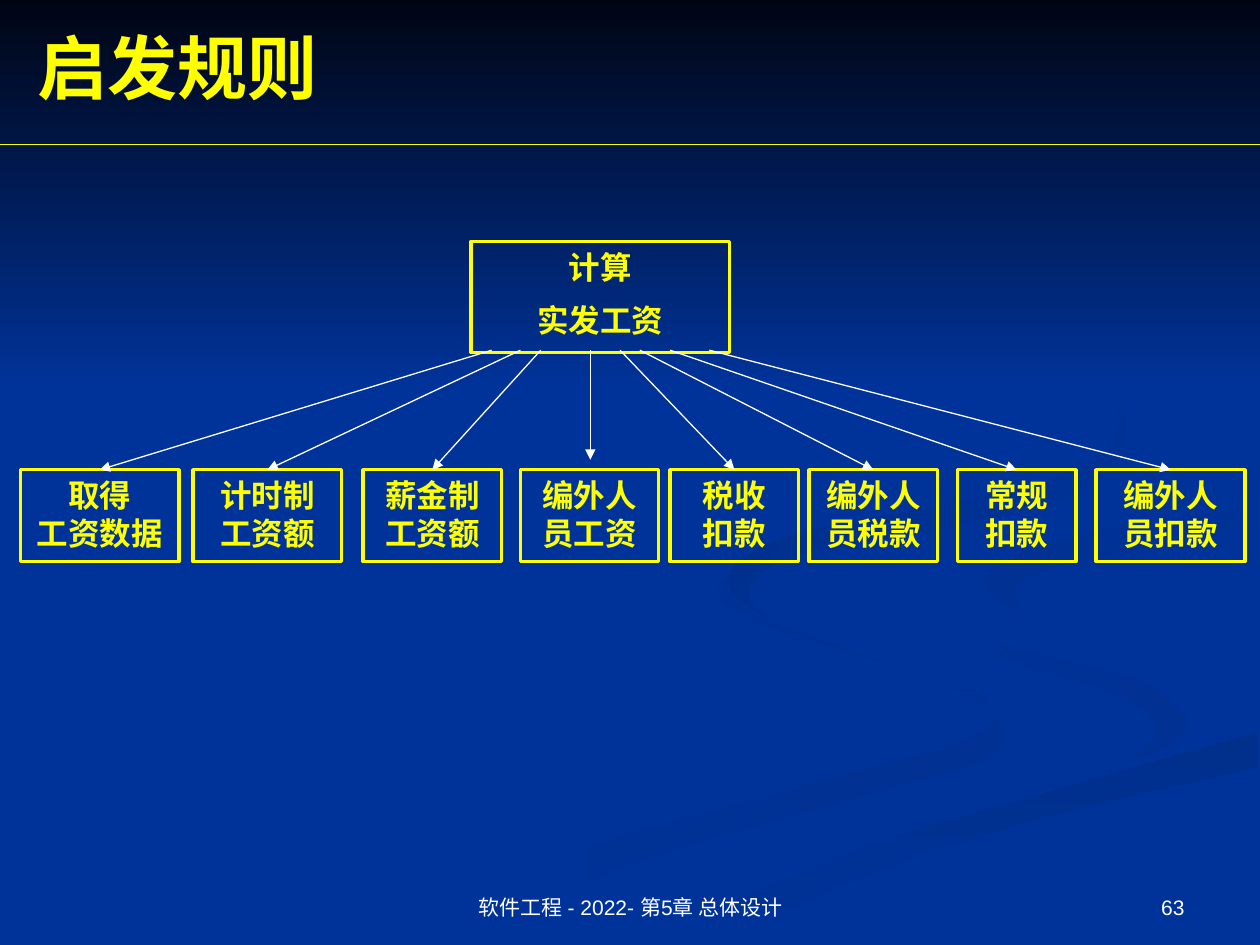
from lxml.etree import SubElement
from pptx import Presentation
from pptx.dml.color import RGBColor
from pptx.enum.shapes import MSO_CONNECTOR, MSO_SHAPE
from pptx.enum.text import MSO_ANCHOR, PP_ALIGN
from pptx.oxml.ns import qn
from pptx.util import Cm, Pt

BLUE = RGBColor(0x00, 0x33, 0x99)
DIM = RGBColor(0x00, 0x31, 0x93)
DARK = RGBColor(0x00, 0x2F, 0x8C)
NIGHT = RGBColor(0x00, 0x05, 0x14)
GOLD = RGBColor(0xFF, 0xFF, 0x00)
WHITE = RGBColor(0xFF, 0xFF, 0xFF)

TITLE = "启发规则"
ROOT = ["计算", "实发工资"]
FOOT = "软件工程 - 2022- 第5章 总体设计"
PAGE = "63"

# left, width, line start, text
PARTS = [
    (0.41, 3.2, 9.91, ["取得", "工资数据"]),
    (3.89, 3, 10.49, ["计时制", "工资额"]),
    (7.32, 2.79, 10.9, ["薪金制", "工资额"]),
    (10.49, 2.79, 11.9, ["编外人", "员工资"]),
    (13.51, 2.59, 12.5, ["税收", "扣款"]),
    (16.31, 2.59, 12.9, ["编外人", "员税款"]),
    (19.3, 2.39, 13.51, ["常规", "扣款"]),
    (22.1, 3, 14.3, ["编外人", "员扣款"]),
]

# first colour, last colour, angle, two edges
UNIT = Cm(0.0254)
RIBBONS = [
    (BLUE, DIM, 0,
     [(781, 553), (682, 519), (594, 485), (575, 459), (572, 476), (611, 499),
      (714, 530), (785, 562), (767, 587), (652, 620), (458, 674), (300, 749)],
     [(361, 749), (499, 687), (676, 634), (791, 597), (781, 553)]),
    (BLUE, DIM, 45,
     [(943, 570), (905, 540), (811, 515), (733, 483), (724, 464), (733, 488),
      (797, 524), (892, 553), (918, 581), (894, 605)],
     [(894, 605), (932, 589), (943, 570)]),
    (DARK, BLUE, 90,
     [(503, 749), (696, 669), (831, 629), (998, 581)],
     [(998, 609), (821, 651), (695, 692), (571, 749)]),
    (DIM, BLUE, 45,
     [(998, 402), (849, 427), (781, 460), (826, 496)],
     [(826, 496), (805, 472), (843, 448), (998, 420)]),
    (DARK, BLUE, 45,
     [(880, 307), (889, 335), (861, 370), (763, 398), (625, 426), (577, 462), (622, 500)],
     [(622, 500), (593, 470), (635, 440), (739, 421), (855, 391), (894, 344), (880, 307)]),
]

HEAD = {"size": Pt(40), "name": "Times New Roman", "bold": True}
BODY = {"size": Pt(18), "name": "Times New Roman", "bold": True}
SMALL = {"size": Pt(12), "name": "Arial", "bold": False}


def put(obj, vals):
    for key, val in vals.items():
        setattr(obj, key, val)


def write(shape, lines, font, hue, align, anchor, gap=0):
    frame = shape.text_frame
    put(frame, {"word_wrap": True, "vertical_anchor": anchor})
    for i, line in enumerate(lines):
        para = frame.add_paragraph() if i else frame.paragraphs[0]
        put(para, {"text": line, "alignment": align,
                   "space_before": Pt(gap if i else 0)})
        put(para.font, font)
        para.font.color.rgb = hue


def curve(dots, steps=5):
    ring = [dots[0], *dots, dots[-1]]
    out = []
    for a, b, c, d in zip(ring, ring[1:], ring[2:], ring[3:]):
        for t in (n / steps for n in range(steps)):
            out.append(tuple(
                round(q + t * (r - p + t * (2 * p - 5 * q + 4 * r - s
                                            + t * (3 * q - p - 3 * r + s))) / 2)
                for p, q, r, s in zip(a, b, c, d)))
    return out + [dots[-1]]


def fade(shape, first, last, turn):
    shape.shadow.inherit = False
    shape.line.fill.background()
    shape.fill.gradient()
    shape.fill.gradient_angle = -turn % 360
    for stop, hue in zip(shape.fill.gradient_stops, (first, last)):
        stop.color.rgb = hue


def box(left, top, wide, high, lines, gap=0):
    rect = shapes.add_shape(MSO_SHAPE.RECTANGLE, Cm(left), Cm(top), Cm(wide), Cm(high))
    rect.shadow.inherit = False
    rect.fill.background()
    rect.line.color.rgb = GOLD
    rect.line.width = Pt(2)
    write(rect, lines, BODY, GOLD, PP_ALIGN.CENTER, MSO_ANCHOR.TOP, gap)


def link(x1, y1, x2, y2, hue, tip=False):
    line = shapes.add_connector(MSO_CONNECTOR.STRAIGHT, Cm(x1), Cm(y1), Cm(x2), Cm(y2))
    line.line.color.rgb = hue
    line.line.width = Pt(0.75)
    if tip:
        SubElement(line.line._get_or_add_ln(), qn("a:tailEnd"), type="triangle")
    SubElement(line._element.spPr, qn("a:effectLst"))


def note(left, wide, text, align):
    area = shapes.add_textbox(Cm(left), Cm(17.35), Cm(wide), Cm(1.32))
    write(area, [text], SMALL, WHITE, align, MSO_ANCHOR.BOTTOM)


deck = Presentation()
put(deck, {"slide_width": Cm(25.4), "slide_height": Cm(19.05)})
slide = deck.slides.add_slide(deck.slide_layouts[5])
shapes = slide.shapes
back = slide.background.fill
back.solid()
back.fore_color.rgb = BLUE

for first, last, turn, near, far in RIBBONS:
    dots = curve(near) + curve(far)
    pen = shapes.build_freeform(*dots[0], scale=UNIT)
    pen.add_line_segments(dots[1:], close=True)
    fade(pen.convert_to_shape(), first, last, turn)
sky = shapes.add_shape(MSO_SHAPE.RECTANGLE, 0, 0, deck.slide_width, Cm(7.82))
fade(sky, NIGHT, BLUE, 90)

title = shapes.title
put(title, {"left": Cm(0.5), "top": Cm(0.36), "width": Cm(24.9), "height": Cm(1.96)})
write(title, [TITLE], HEAD, GOLD, PP_ALIGN.LEFT, MSO_ANCHOR.MIDDLE)
shapes._spTree.append(title._element)
link(0, 2.92, 25.4, 2.92, GOLD)

box(9.5, 4.87, 5.21, 2.24, ROOT, 9)
for left, wide, start, lines in PARTS:
    box(left, 9.47, wide, 1.85, lines)
for left, wide, start, lines in PARTS:
    mid = left + wide / 2
    steep = abs(mid - start) < 0.1
    link(start, 7.06, start if steep else mid, 9.27 if steep else 9.47, WHITE, True)

note(8.69, 8.05, FOOT, PP_ALIGN.CENTER)
note(18.21, 5.92, PAGE, PP_ALIGN.RIGHT)
deck.save("out.pptx")
